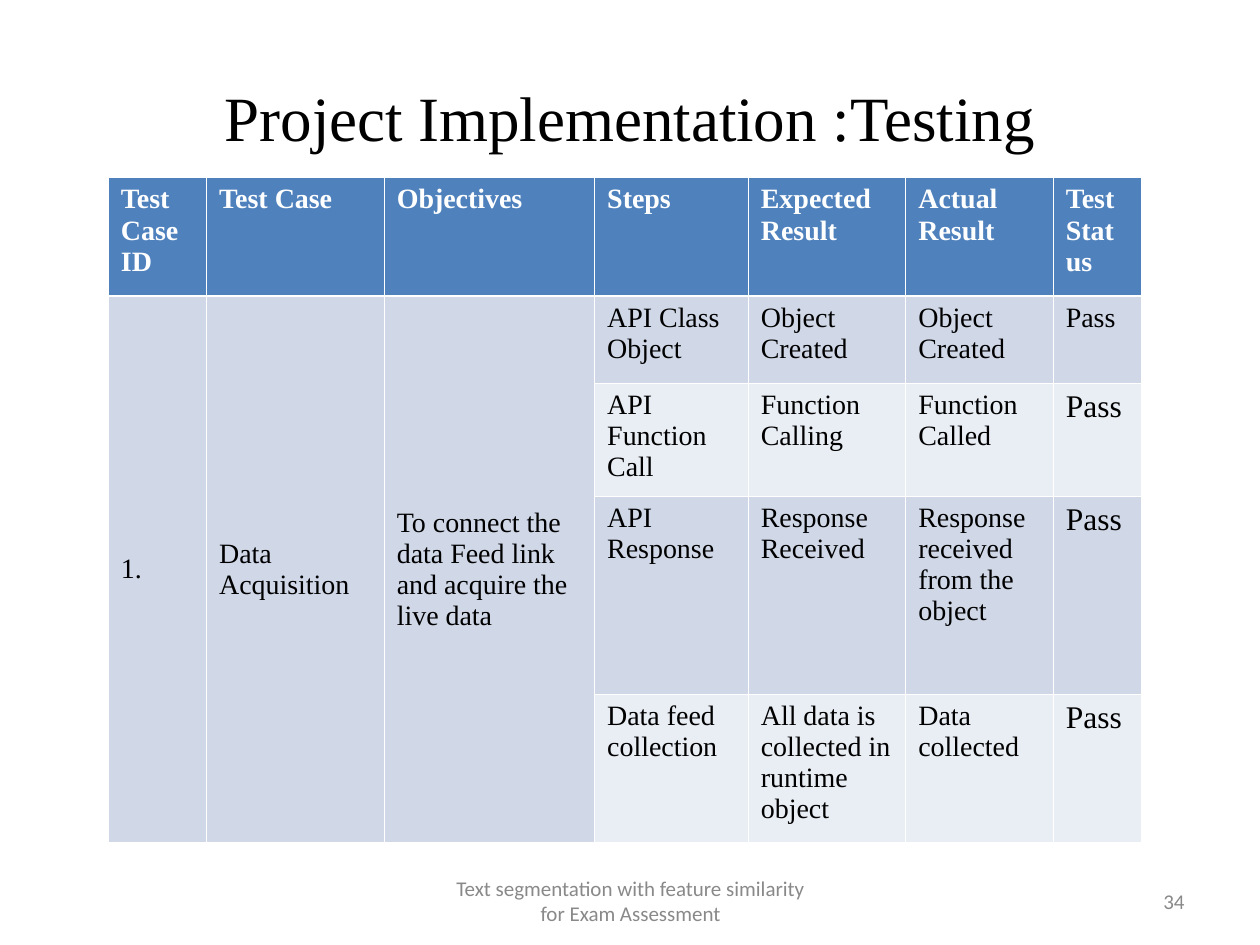
from lxml import etree
from pptx import Presentation
from pptx.dml.color import RGBColor
from pptx.enum.text import MSO_ANCHOR, PP_ALIGN
from pptx.oxml.ns import qn
from pptx.util import Inches, Pt

MIDDLE, TOP = MSO_ANCHOR.MIDDLE, MSO_ANCHOR.TOP
CENTER, LEFT, RIGHT = PP_ALIGN.CENTER, PP_ALIGN.LEFT, PP_ALIGN.RIGHT
TITLE_ONLY = 5

COLORS = {
    "header": "4F81BD",
    "odd": "D0D8E8",
    "even": "E9EDF4",
    "white": "FFFFFF",
    "black": "000000",
    "footer": "898989",
}
SERIF = "Times New Roman"
FORMATS = {
    "title": {"name": SERIF, "size": Pt(36), "bold": False},
    "header": {"name": SERIF, "size": Pt(16), "bold": True},
    "body": {"name": SERIF, "size": Pt(16), "bold": False},
    "status": {"name": SERIF, "size": Pt(18), "bold": False},
    "footer": {"name": "Calibri", "size": Pt(12), "bold": False},
}

COLUMN_WIDTHS = [0.78, 1.41, 1.67, 1.22, 1.25, 1.17, 0.7]
ROW_HEIGHTS = [0.94, 0.69, 0.9, 1.57, 1.18]
HEADINGS = ["Test Case\nID", "Test Case", "Objectives", "Steps",
            "Expected Result", "Actual Result", "Test Status"]
TEST_CASE = ["1.", "Data Acquisition",
             "To connect the data Feed link and acquire the live data"]
STEPS = [
    ["API Class Object", "Object Created", "Object Created", "Pass"],
    ["API Function Call", "Function Calling", "Function Called", "Pass"],
    ["API Response", "Response Received", "Response received from the object", "Pass"],
    ["Data feed collection", "All data is collected in runtime object",
     "Data collected", "Pass"],
]
THIN, THICK = 0.45, 1.47


def write_text(frame, text, style, color, align):
    frame.text = text
    frame.word_wrap = True
    for paragraph in frame.paragraphs:
        paragraph.alignment = align
        for attribute, value in FORMATS[style].items():
            setattr(paragraph.font, attribute, value)
        paragraph.font.color.rgb = RGBColor.from_string(COLORS[color])


def place_title(slide, text):
    title = slide.shapes.title
    title.left, title.top = Inches(0.5), Inches(0.3)
    title.width, title.height = Inches(9), Inches(1.25)
    write_text(title.text_frame, text, "title", "black", CENTER)
    title.text_frame.vertical_anchor = MIDDLE


def add_footer(slide, text, left, width, align):
    footer = slide.shapes.add_textbox(Inches(left), Inches(6.95), Inches(width), Inches(0.4))
    write_text(footer.text_frame, text, "footer", "footer", align)
    footer.text_frame.vertical_anchor = MIDDLE


def set_borders(cell, row):
    widths = {
        "a:lnL": THIN,
        "a:lnR": THIN,
        "a:lnT": THICK if row == 1 else THIN,
        "a:lnB": THICK if row == 0 else THIN,
    }
    properties = cell._tc.get_or_add_tcPr()
    for side, width in widths.items():
        line = etree.SubElement(properties, qn(side), w=str(int(Pt(width))))
        fill = etree.SubElement(line, qn("a:solidFill"))
        etree.SubElement(fill, qn("a:srgbClr"), val=COLORS["white"])


def style_cell(cell, row, fill):
    set_borders(cell, row)
    cell.fill.solid()
    cell.fill.fore_color.rgb = RGBColor.from_string(COLORS[fill])


def add_test_table(slide):
    frame = slide.shapes.add_table(
        len(ROW_HEIGHTS), len(COLUMN_WIDTHS), Inches(0.86), Inches(1.41),
        Inches(sum(COLUMN_WIDTHS)), Inches(sum(ROW_HEIGHTS)))
    table = frame.table
    for column, width in zip(table.columns, COLUMN_WIDTHS):
        column.width = Inches(width)
    for table_row, height in zip(table.rows, ROW_HEIGHTS):
        table_row.height = Inches(height)

    merged = len(TEST_CASE)
    for row in range(len(ROW_HEIGHTS)):
        for column in range(len(COLUMN_WIDTHS)):
            if row == 0:
                fill = "header"
            else:
                fill = "odd" if column < merged or row % 2 else "even"
            style_cell(table.cell(row, column), row, fill)

    for column, heading in enumerate(HEADINGS):
        write_text(table.cell(0, column).text_frame, heading, "header", "white", LEFT)
    for column, text in enumerate(TEST_CASE):
        cell = table.cell(1, column)
        cell.merge(table.cell(len(STEPS), column))
        write_text(cell.text_frame, text, "body", "black", LEFT)
        cell.vertical_anchor = MIDDLE
    for row, step in enumerate(STEPS, 1):
        for column, text in enumerate(step, merged):
            larger = row > 1 and column == len(COLUMN_WIDTHS) - 1
            cell = table.cell(row, column)
            write_text(cell.text_frame, text, "status" if larger else "body", "black", LEFT)
            cell.vertical_anchor = TOP


def main():
    presentation = Presentation()
    presentation.slide_width = Inches(10)
    presentation.slide_height = Inches(7.5)
    slide = presentation.slides.add_slide(presentation.slide_layouts[TITLE_ONLY])
    place_title(slide, "Project Implementation :Testing")
    add_test_table(slide)
    add_footer(slide, "Text segmentation with feature similarity for Exam Assessment",
               3.42, 3.17, CENTER)
    add_footer(slide, "34", 7.17, 2.33, RIGHT)
    presentation.save("out.pptx")


if __name__ == "__main__":
    main()
